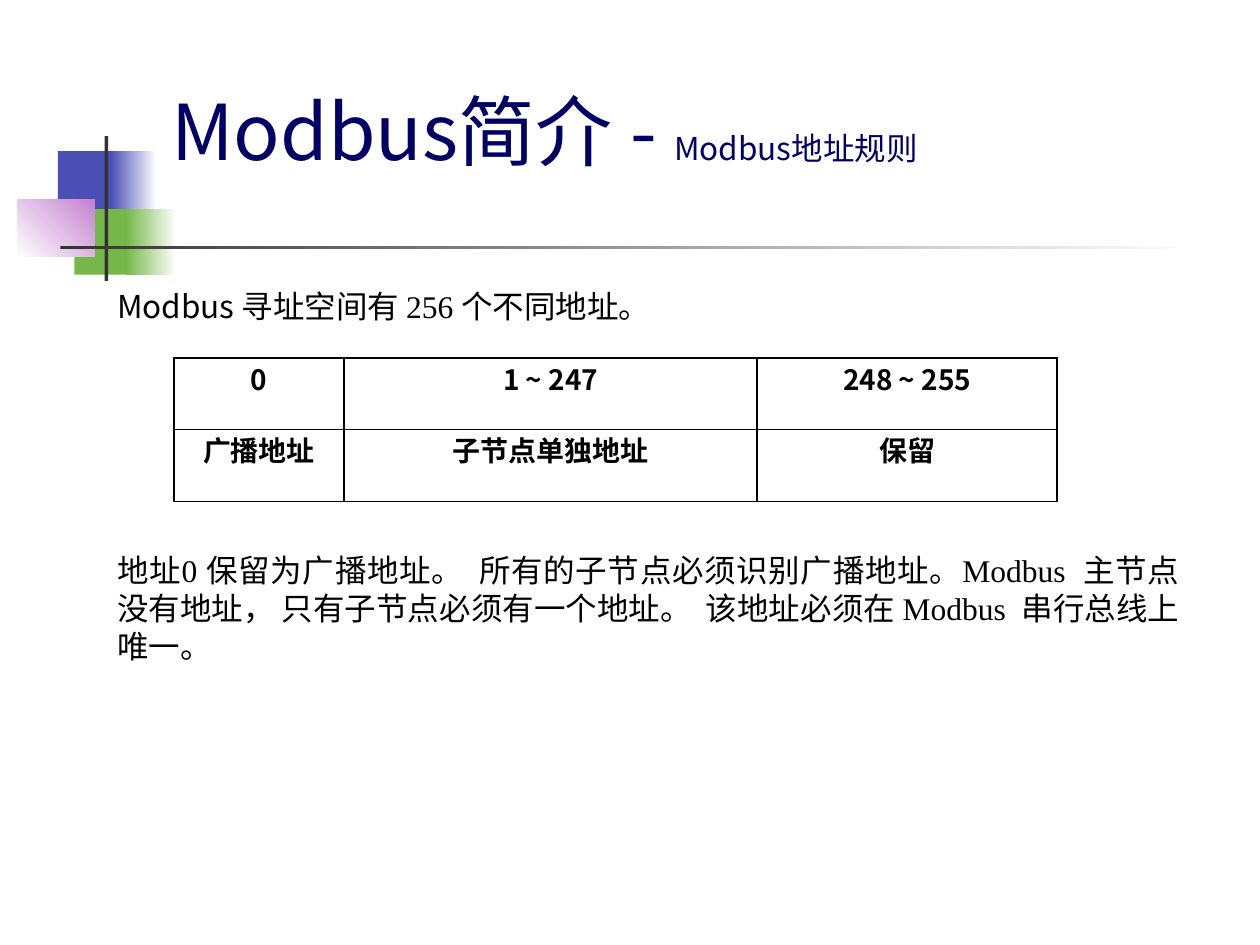
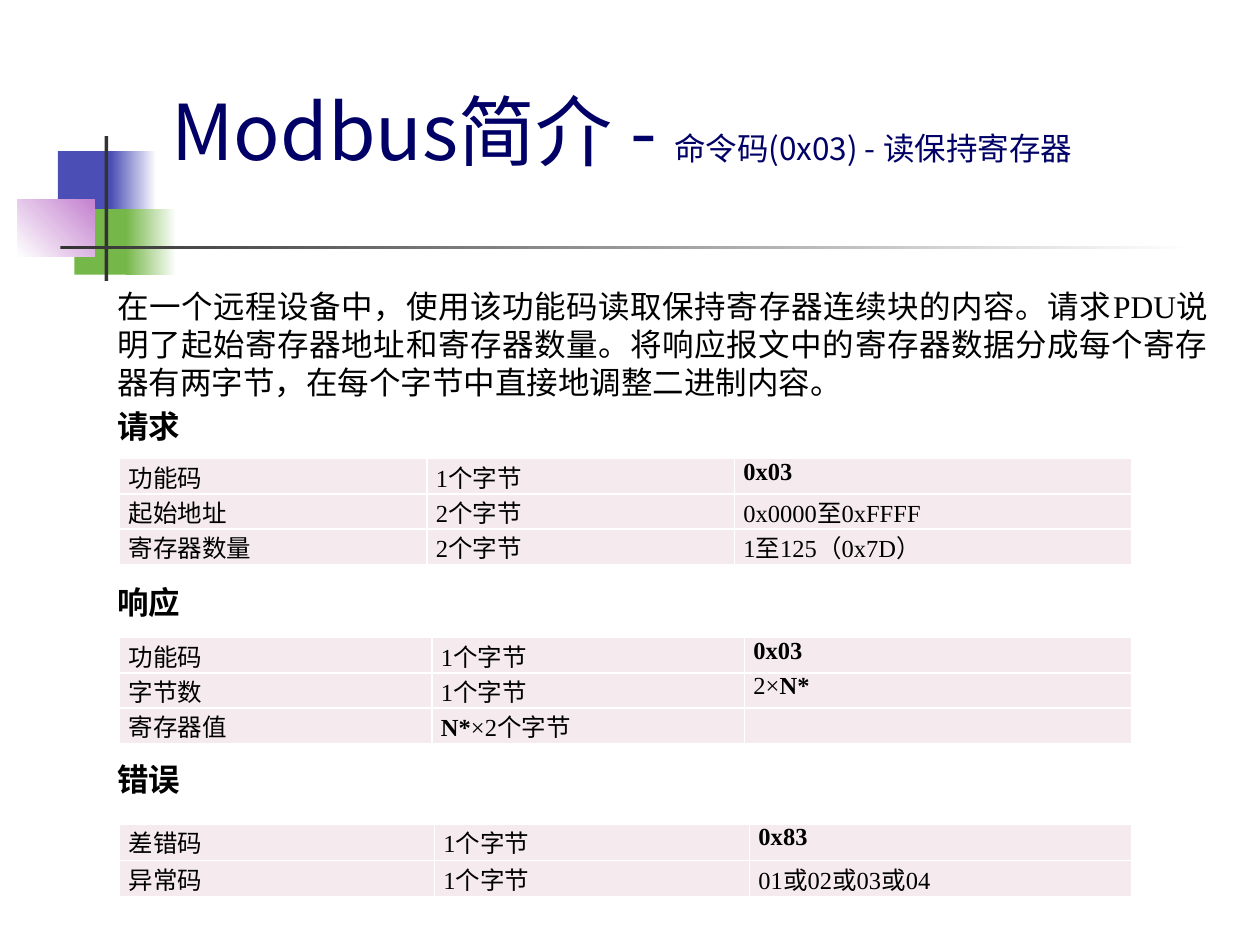
import dataclasses

import pptx
import pptx.dml.color
import pptx.enum.shapes
import pptx.enum.text
import pptx.oxml.ns
import pptx.util
from lxml import etree

Inches = pptx.util.Inches
Pt = pptx.util.Pt
ALIGN = pptx.enum.text.PP_ALIGN
ANCHOR = pptx.enum.text.MSO_ANCHOR
qn = pptx.oxml.ns.qn


@dataclasses.dataclass(frozen=True)
class TextStyle:
    size: int
    font: str
    color: str = "000000"
    bold: bool = False


class Theme:
    sans, serif = "Noto Sans CJK SC", "Times New Roman"
    white, black, dark = "FFFFFF", "000000", "333333"
    blue, green, purple = "4B4EB5", "76B749", "C481CF"
    cell_fill = "F5EBEF"
    line_pitch = 21.7
    title = TextStyle(44, sans, "000066")
    subtitle = TextStyle(18, sans, "000066")
    body = TextStyle(18, serif)
    body_sans = TextStyle(18, sans)
    heading = TextStyle(18, serif, bold=True)
    address = TextStyle(16, sans, bold=True)
    field = TextStyle(14, serif)
    field_bold = TextStyle(14, serif, bold=True)


def rgb(color):
    return pptx.dml.color.RGBColor.from_string(color)


def apply(target, values):
    for name, value in values.items():
        setattr(target, name, value)


class SlideBuilder:
    def __init__(self, deck, theme):
        self.deck, self.theme, self.slide = deck, theme, None

    def new_slide(self, topic, title="Modbus简介 - "):
        self.slide = self.deck.slides.add_slide(self.deck.slide_layouts[6])
        self.ornament()
        theme = self.theme
        self.text((1.26, 0.23, 8.52, 1.6),
                  [(title, theme.title), (topic, theme.subtitle)],
                  ALIGN.LEFT, ANCHOR.MIDDLE, inset=0.1)

    def ornament(self):
        """Coloured squares and the crossing bars beside the title."""
        theme = self.theme
        self.rect((0.46, 1.2, 0.48, 0.52), theme.blue)
        self.rect((0.88, 1.2, 0.36, 0.52), theme.blue, theme.white)
        self.rect((0.59, 1.66, 0.46, 0.52), theme.green)
        self.rect((1, 1.66, 0.4, 0.52), theme.green, theme.white)
        self.rect((0.14, 1.58, 0.61, 0.46), theme.white, theme.purple, angle=45)
        self.rect((0.83, 1.08, 0.03, 1.15), theme.dark)
        self.rect((0.48, 1.95, 9, 0.03), theme.dark, theme.white)

    def rect(self, place, color, fade_to=None, angle=0):
        shape = self.slide.shapes.add_shape(
            pptx.enum.shapes.MSO_SHAPE.RECTANGLE, *map(Inches, place))
        shape.shadow.inherit = False
        shape.line.fill.background()
        if fade_to is None:
            shape.fill.solid()
            shape.fill.fore_color.rgb = rgb(color)
            return
        shape.fill.gradient()
        shape.fill.gradient_angle = angle
        for stop, stop_color in zip(shape.fill.gradient_stops, (color, fade_to)):
            stop.color.rgb = rgb(stop_color)

    def add_spans(self, para, spans, align):
        para.alignment = align
        for text, style in spans:
            span = para.add_run()
            span.text = text
            apply(span.font, {"size": Pt(style.size), "name": style.font,
                              "bold": style.bold})
            span.font.color.rgb = rgb(style.color)
            east_asian = etree.SubElement(span.font._element, qn("a:ea"))
            east_asian.set("typeface", self.theme.sans)

    def text(self, place, spans, align=ALIGN.JUSTIFY, anchor=ANCHOR.TOP,
             inset=0, pitch=None):
        box = self.slide.shapes.add_textbox(*map(Inches, place))
        apply(box.text_frame, {
            "word_wrap": True, "vertical_anchor": anchor,
            "margin_left": Inches(inset), "margin_right": Inches(inset),
            "margin_top": Inches(0.05), "margin_bottom": Inches(0.05)})
        para = box.text_frame.paragraphs[0]
        if pitch:
            para.line_spacing = Pt(pitch)
        self.add_spans(para, spans, align)

    def body(self, top, spans, width, lines=1):
        height = 0.1 + 0.3 * lines
        self.text((0.93, top, width, height), spans, pitch=self.theme.line_pitch)

    def table(self, left, top, columns, row_height, rows, border, fill, align):
        """Each cell in rows is a list of (text, style) spans."""
        frame = self.slide.shapes.add_table(
            len(rows), len(columns), Inches(left), Inches(top),
            Inches(sum(columns)), Inches(row_height * len(rows)))
        table = frame.table
        apply(table, {"first_row": False, "horz_banding": False})
        for column, width in zip(table.columns, columns):
            column.width = Inches(width)
        for row, contents in zip(table.rows, rows):
            row.height = Inches(row_height)
            for cell, spans in zip(row.cells, contents):
                self.cell(cell, spans, border, fill, align)

    def cell(self, cell, spans, border, fill, align):
        apply(cell, {"margin_left": Inches(0.07), "margin_right": Inches(0.07),
                     "margin_top": 0, "margin_bottom": 0})
        para = cell.text_frame.paragraphs[0]
        self.add_spans(para, spans, align)
        if not spans:
            end = etree.SubElement(para._p, qn("a:endParaRPr"))
            end.set("sz", str(self.theme.field.size * 100))
        properties = cell._tc.get_or_add_tcPr()
        for side in ("lnL", "lnR", "lnT", "lnB"):
            line = etree.SubElement(properties, qn("a:" + side), w=str(Pt(1)))
            paint = etree.SubElement(line, qn("a:solidFill"))
            etree.SubElement(paint, qn("a:srgbClr"), val=border)
        if fill:
            cell.fill.solid()
            cell.fill.fore_color.rgb = rgb(fill)
        else:
            cell.fill.background()

    def message(self, index, heading, top, columns, row_height, rows):
        """A headed table of the fields in one kind of message."""
        theme = self.theme
        self.body(3.18 + 1.4 * index, [(heading, theme.heading)], 8.66)
        spans = [[[(cell, theme.field)] if isinstance(cell, str) else cell
                  for cell in row] for row in rows]
        self.table(0.95, top, columns, row_height, spans,
                   theme.white, theme.cell_fill, ALIGN.JUSTIFY)


def address_slide(builder):
    theme = builder.theme
    builder.new_slide("Modbus地址规则")
    builder.body(2.23, [("Modbus ", theme.body_sans),
                        ("寻址空间有 256 个不同地址。", theme.body)], 8.43)
    builder.body(4.32, [(
        "地址0 保留为广播地址。  所有的子节点必须识别广播地址。"
        "Modbus  主节点没有地址， 只有子节点必须有一个地址。  "
        "该地址必须在 Modbus  串行总线上唯一。", theme.body)], 8.43, lines=3)
    rows = [("0", "1 ~ 247", "248 ~ 255"),
            ("广播地址", "子节点单独地址", "保留")]
    spans = [[[(text, theme.address)] for text in row] for row in rows]
    builder.table(1.38, 2.84, (1.35, 3.28, 2.38), 0.57, spans,
                  theme.black, None, ALIGN.CENTER)


def command_slide(builder):
    theme = builder.theme
    plain, bold = theme.field, theme.field_bold
    builder.new_slide("命令码(0x03) - 读保持寄存器")
    builder.body(2.23, [(
        "在一个远程设备中，使用该功能码读取保持寄存器连续块的内容。"
        "请求PDU说明了起始寄存器地址和寄存器数量。"
        "将响应报文中的寄存器数据分成每个寄存器有两字节，"
        "在每个字节中直接地调整二进制内容。", theme.body)], 8.66, lines=3)
    builder.message(0, "请求", 3.64, (2.44, 2.44, 3.15), 0.28, [
        ("功能码", "1个字节", [("0x03", bold)]),
        ("起始地址", "2个字节", "0x0000至0xFFFF"),
        ("寄存器数量", "2个字节", "1至125（0x7D）")])
    builder.message(1, "响应", 5.06, (2.48, 2.48, 3.07), 0.28, [
        ("功能码", "1个字节", [("0x03", bold)]),
        ("字节数", "1个字节", [("2×", plain), ("N*", bold)]),
        ("寄存器值", [("N*", bold), ("×2个字节", plain)], [])])
    builder.message(2, "错误", 6.54, (2.5, 2.5, 3.03), 0.29, [
        ("差错码", "1个字节", [("0x83", bold)]),
        ("异常码", "1个字节", "01或02或03或04")])


def main():
    deck = pptx.Presentation()
    apply(deck, {"slide_width": Inches(10), "slide_height": Inches(7.5)})
    builder = SlideBuilder(deck, Theme)
    address_slide(builder)
    command_slide(builder)
    deck.save("out.pptx")


if __name__ == "__main__":
    main()
